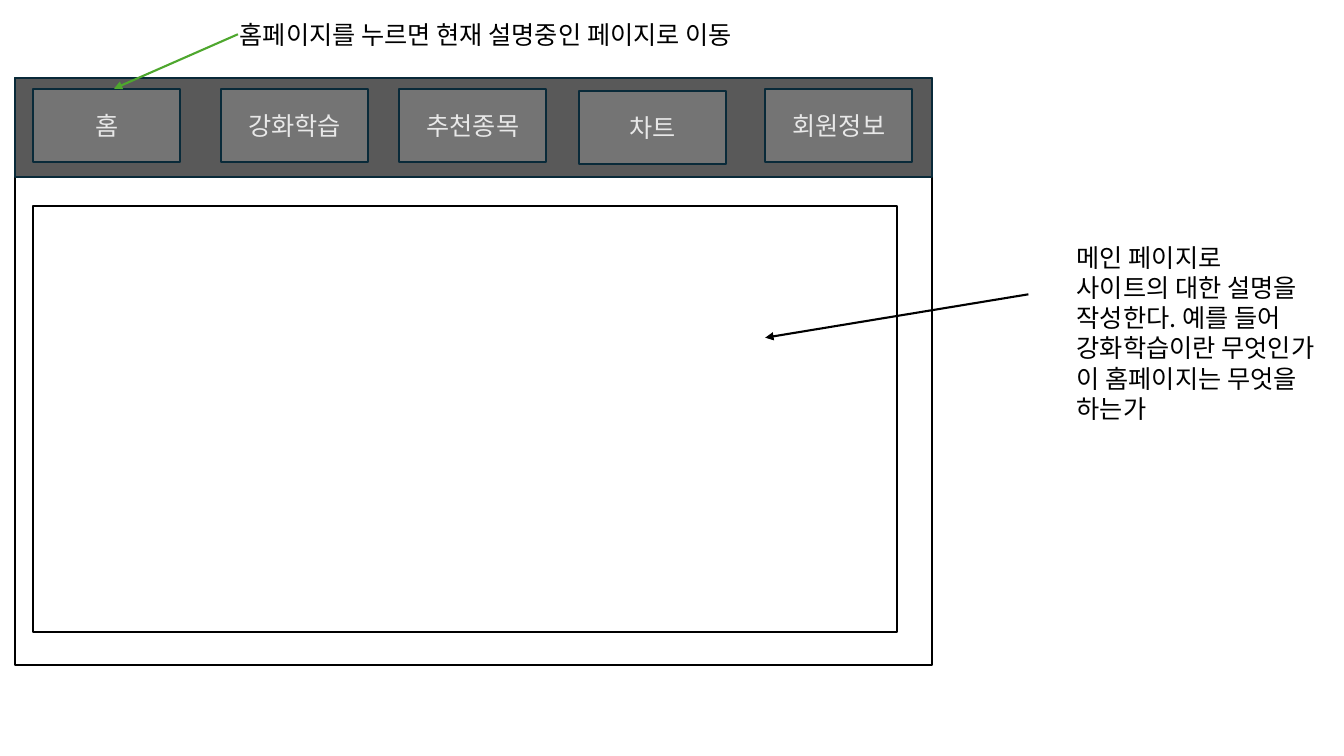
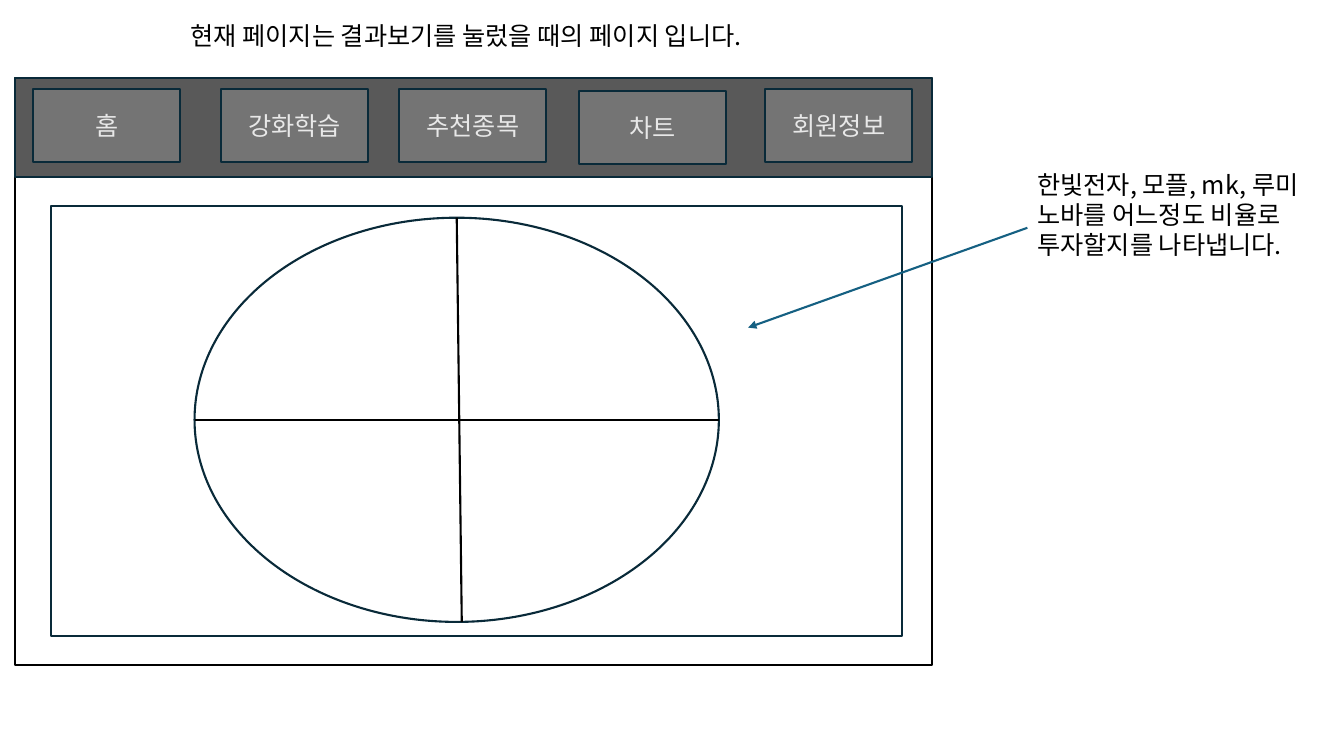
from dataclasses import dataclass
from typing import NamedTuple

from lxml.etree import SubElement
from pptx import Presentation
from pptx.dml.color import RGBColor
from pptx.enum.shapes import MSO_CONNECTOR, MSO_SHAPE
from pptx.enum.text import MSO_ANCHOR, MSO_AUTO_SIZE, PP_ALIGN
from pptx.oxml.ns import qn
from pptx.slide import Slide
from pptx.text.text import TextFrame
from pptx.util import Inches, Pt


@dataclass(frozen=True)
class Theme:
    font: str = "Noto Sans CJK KR"
    text_size: float = 18
    line_width: float = 1.5
    black: str = "000000"
    white: str = "FFFFFF"
    navy: str = "092A39"
    bar: str = "595959"
    button: str = "747474"
    button_text: str = "E8E8E8"
    green: str = "4EA72E"
    blue: str = "156082"


THEME = Theme()


class Box(NamedTuple):
    left: float
    top: float
    width: float
    height: float


class Button(NamedTuple):
    label: str
    left: float
    top: float = 0.88


class Line(NamedTuple):
    start: tuple[float, float]
    end: tuple[float, float]
    color: str = THEME.black
    arrow: bool = False


class Note(NamedTuple):
    box: Box
    lines: list[str]
    wrap: bool = False


BROWSER = Box(0.15, 0.77, 9.09, 5.83)
MENU_BAR = BROWSER._replace(height=0.99)
BUTTON_WIDTH, BUTTON_HEIGHT = 1.46, 0.73
BUTTONS = [
    Button("홈", 0.33),
    Button("강화학습", 2.19),
    Button("추천종목", 3.96),
    Button("차트", 5.74, 0.9),
    Button("회원정보", 7.59),
]


def write_text(frame: TextFrame, lines: list[str], color: str,
               align: PP_ALIGN = PP_ALIGN.LEFT) -> None:
    frame.text = "\n".join(lines)
    for para in frame.paragraphs:
        para.alignment = align
        font = para.font
        font.size = Pt(THEME.text_size)
        font.color.rgb = RGBColor.from_string(color)
        font.name = THEME.font
        # Korean letters take the East Asian typeface
        properties = para._p.pPr.find(qn("a:defRPr"))
        SubElement(properties, qn("a:ea"), typeface=THEME.font)


def add_panel(page: Slide, box: Box, fill: str = THEME.white, line: str = THEME.navy,
              label: str = "", kind: MSO_SHAPE = MSO_SHAPE.RECTANGLE) -> None:
    shape = page.shapes.add_shape(kind, *map(Inches, box))
    shape.shadow.inherit = False
    shape.fill.solid()
    shape.fill.fore_color.rgb = RGBColor.from_string(fill)
    shape.line.color.rgb = RGBColor.from_string(line)
    shape.line.width = Pt(THEME.line_width)
    if label:
        shape.text_frame.vertical_anchor = MSO_ANCHOR.MIDDLE
        write_text(shape.text_frame, [label], THEME.button_text, PP_ALIGN.CENTER)


def add_line(page: Slide, line: Line) -> None:
    connector = page.shapes.add_connector(
        MSO_CONNECTOR.STRAIGHT, *map(Inches, line.start + line.end))
    connector.line.color.rgb = RGBColor.from_string(line.color)
    connector.line.width = Pt(THEME.line_width)
    if line.arrow:
        SubElement(connector.line._get_or_add_ln(), qn("a:tailEnd"), type="triangle")
    SubElement(connector._element.spPr, qn("a:effectLst"))


def add_note(page: Slide, note: Note) -> None:
    frame = page.shapes.add_textbox(*map(Inches, note.box)).text_frame
    frame.word_wrap = note.wrap
    frame.auto_size = MSO_AUTO_SIZE.SHAPE_TO_FIT_TEXT
    write_text(frame, note.lines, THEME.black)


def add_site_page(deck: Presentation) -> Slide:
    """Add a page with the browser outline and its menu."""
    page = deck.slides.add_slide(deck.slide_layouts[6])
    add_panel(page, BROWSER, line=THEME.black)
    add_panel(page, MENU_BAR, THEME.bar)
    for button in BUTTONS:
        box = Box(button.left, button.top, BUTTON_WIDTH, BUTTON_HEIGHT)
        add_panel(page, box, THEME.button, label=button.label)
    return page


def build_home(deck: Presentation) -> None:
    page = add_site_page(deck)
    add_panel(page, Box(0.33, 2.04, 8.57, 4.23), line=THEME.black)
    # Description of the main area
    add_line(page, Line((10.2, 2.92), (7.59, 3.35), arrow=True))
    add_note(page, Note(Box(10.58, 2.35, 2.82, 1.92), [
        "메인 페이지로",
        "사이트의 대한 설명을",
        "작성한다. 예를 들어",
        "강화학습이란 무엇인가",
        "이 홈페이지는 무엇을",
        "하는가",
    ]))
    # Description of the home button
    add_line(page, Line((2.36, 0.34), (1.13, 0.88), THEME.green, arrow=True))
    add_note(page, Note(Box(2.28, 0.14, 5.7, 0.4),
                        ["홈페이지를 누르면 현재 설명중인 페이지로 이동"]))


def build_result(deck: Presentation) -> None:
    page = add_site_page(deck)
    add_panel(page, Box(0.51, 2.04, 8.44, 4.27))
    # Circle divided into four shares
    circle = Box(1.93, 2.16, 5.2, 4.01)
    right, bottom = circle.left + circle.width, circle.top + circle.height
    center, middle = circle.left + circle.width / 2, circle.top + circle.height / 2
    add_panel(page, circle, kind=MSO_SHAPE.OVAL)
    add_line(page, Line((circle.left, middle), (right, middle)))
    add_line(page, Line((center, circle.top), (center + 0.05, bottom)))
    # Descriptions
    add_line(page, Line((10.19, 2.26), (7.42, 3.25), THEME.blue, arrow=True))
    add_note(page, Note(Box(1.79, 0.15, 8.22, 0.4),
                        ["현재 페이지는 결과보기를 눌렀을 때의 페이지 입니다."], wrap=True))
    add_note(page, Note(Box(10.19, 1.63, 2.99, 1.01), [
        "한빛전자, 모플, mk, 루미",
        "노바를 어느정도 비율로",
        "투자할지를 나타냅니다.",
    ]))


def main() -> None:
    deck = Presentation()
    deck.slide_width, deck.slide_height = Inches(13.33), Inches(7.5)
    build_home(deck)
    build_result(deck)
    deck.save("out.pptx")


if __name__ == "__main__":
    main()
